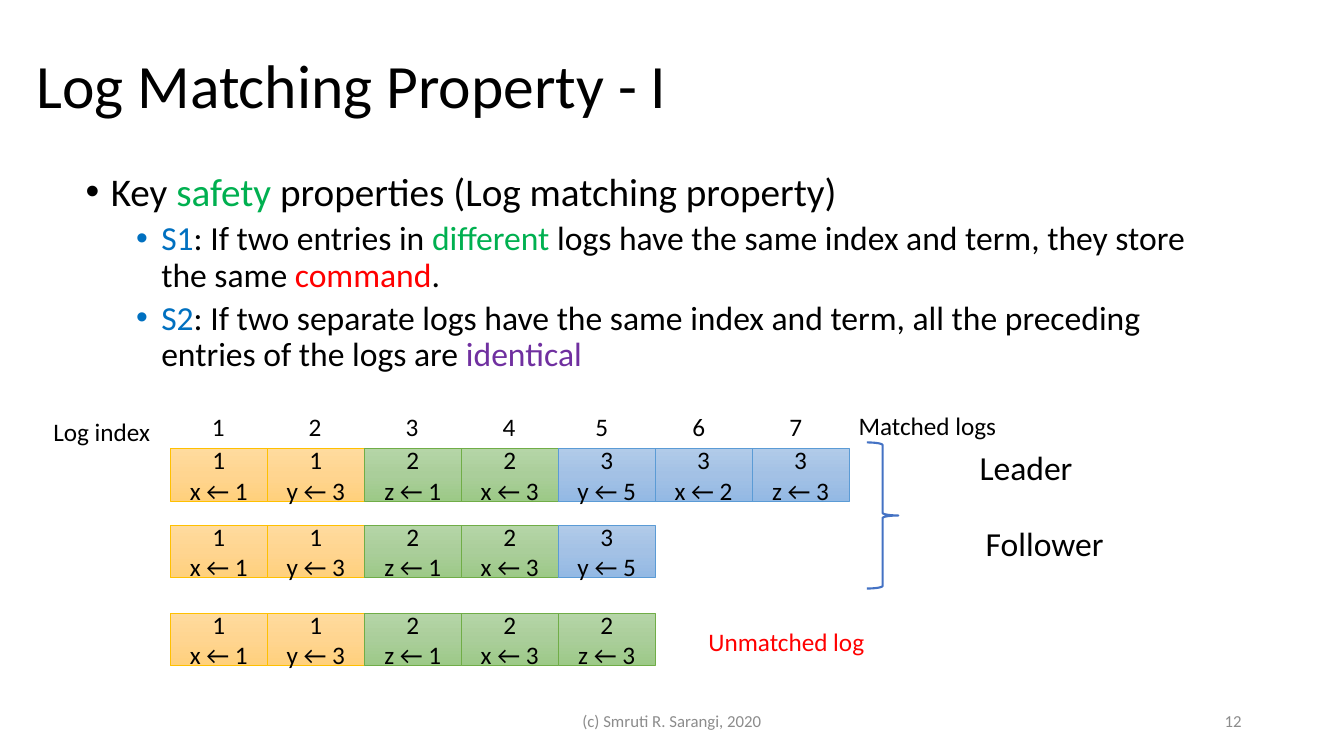
from copy import deepcopy

from lxml.etree import SubElement
from pptx import Presentation
from pptx.dml.color import RGBColor as RGB
from pptx.enum.shapes import MSO_SHAPE as Preset
from pptx.enum.text import MSO_ANCHOR as Anchor, MSO_AUTO_SIZE as AutoSize, PP_ALIGN as Align
from pptx.oxml.ns import qn
from pptx.util import Pt

# Content
TITLE = "Log Matching Property - I"
PROPERTIES = [  # level, [(words, colour)]
    (0, [("Key ", "ink"), ("safety", "green"), (" properties (Log matching property)", "ink")]),
    (1, [("S1", "blue"), (": If two entries in ", "ink"), ("different", "green"),
         (" logs have the same index and term, they store the same ", "ink"),
         ("command", "red"), (".", "ink")]),
    (1, [("S2", "blue"),
         (": If two separate logs have the same index and term, all the preceding "
          "entries of the logs are ", "ink"),
         ("identical", "purple")]),
]
SHARED_ENTRIES = [(1, "x ← 1"), (1, "y ← 3"), (2, "z ← 1"), (2, "x ← 3")]  # term, command
LOGS = [  # top, entries
    (320.4, SHARED_ENTRIES + [(3, "y ← 5"), (3, "x ← 2"), (3, "z ← 3")]),
    (375.1, SHARED_ENTRIES + [(3, "y ← 5")]),
    (438, SHARED_ENTRIES + [(2, "z ← 3")]),
]
LABELS = [  # words, left, top, width, height, size, colour
    ("Log index", 31, 293.8, 84, 29, "label", "ink"),
    ("Matched logs", 606.2, 289.4, 114, 29, "label", "ink"),
    ("Unmatched log", 499, 443.5, 127.5, 29, "label", "red"),
    ("Leader", 692.6, 316, 82, 36, "role", "ink"),
    ("Follower", 697, 370, 99.5, 36, "role", "ink"),
]
FOOTERS = [  # words, left, width, alignment
    ("(c) Smruti R. Sarangi, 2020", 318, 324, Align.CENTER),
    ("12", 678, 216, Align.RIGHT),
]

# Look
THEME = {
    "font": "Calibri",
    "size": {"title": 44, "point": 28, "subpoint": 24, "role": 24, "label": 18, "footer": 12},
    "color": {"ink": "000000", "green": "00B050", "blue": "0070C0", "red": "FF0000",
              "purple": "7030A0", "footer": "8C8C8C", "brace": "4472C4"},
    "term": {  # outline, gradient from top to bottom
        1: ("FFC000", ("FFDB9E", "FFD590", "FFD07C")),
        2: ("70AD47", ("B5D5A7", "AACE9A", "9CC987")),
        3: ("5B9BD5", ("B1CBE9", "A3C1E5", "93B9E4")),
    },
}
BULLETS = [  # size, left margin, space before
    ("point", 18, 10),
    ("subpoint", 54, 5),
]

# Geometry
LOG_LEFT, ENTRY_WIDTH, ENTRY_HEIGHT = 121.7, 69.25, 37.6
INDEX_TOP, INDEX_INSET, LATE_INDEX_SHIFT = 290, 22.5, -3


def apply(target, values):
    for name, value in values.items():
        setattr(target, name, value)


def box(left, top, width, height):
    return [Pt(value) for value in (left, top, width, height)]


def place(placeholder, bounds):
    apply(placeholder, dict(zip(("left", "top", "width", "height"), bounds)))


def write(paragraph, words, size, color, **layout):
    apply(paragraph, layout)
    run = paragraph.add_run()
    run.text = words
    apply(run.font, {"name": THEME["font"], "size": Pt(THEME["size"][size])})
    run.font.color.rgb = RGB.from_string(THEME["color"][color])


def add_label(slide, words, bounds, size, color, **layout):
    label = slide.shapes.add_textbox(*bounds)
    apply(label.text_frame, {"word_wrap": False, "auto_size": AutoSize.SHAPE_TO_FIT_TEXT})
    write(label.text_frame.paragraphs[0], words, size, color, **layout)


def add_entry(slide, bounds, term, command):
    entry = slide.shapes.add_shape(Preset.RECTANGLE, *bounds)
    entry.shadow.inherit = False
    outline, shades = THEME["term"][term]
    entry.line.color.rgb = RGB.from_string(outline)
    entry.line.width = Pt(0.5)
    entry.fill.gradient()
    entry.fill.gradient_angle = 270
    stop_list = next(entry.element.iter(qn("a:gsLst")))
    stop_list.append(deepcopy(stop_list[-1]))
    for stop, position, shade in zip(entry.fill.gradient_stops, (0, 0.5, 1), shades):
        stop.position = position
        stop.color.rgb = RGB.from_string(shade)
    frame = entry.text_frame
    apply(frame, {"vertical_anchor": Anchor.MIDDLE, "word_wrap": True})
    write(frame.paragraphs[0], str(term), "label", "ink", alignment=Align.CENTER)
    write(frame.add_paragraph(), command, "label", "ink", alignment=Align.CENTER)


def main():
    deck = Presentation()
    apply(deck, {"slide_width": Pt(960), "slide_height": Pt(540)})
    slide = deck.slides.add_slide(deck.slide_layouts[1])
    title, body = slide.placeholders

    # Title
    place(title, box(18.7, 10.8, 828, 104.4))
    apply(title.text_frame, {"vertical_anchor": Anchor.MIDDLE, "auto_size": AutoSize.NONE})
    write(title.text_frame.paragraphs[0], TITLE, "title", "ink",
          alignment=Align.LEFT, line_spacing=0.9)

    # Safety properties
    place(body, box(54, 119.5, 828, 156.2))
    body.text_frame.auto_size = AutoSize.NONE
    for order, (level, phrases) in enumerate(PROPERTIES):
        point = body.text_frame.add_paragraph() if order else body.text_frame.paragraphs[0]
        size, margin, gap = BULLETS[level]
        settings = point._p.get_or_add_pPr()
        settings.set("marL", str(Pt(margin)))
        settings.set("indent", str(Pt(-18)))
        SubElement(settings, qn("a:buFont"), typeface="Arial")
        SubElement(settings, qn("a:buChar"), char="•")
        apply(point, {"level": level, "line_spacing": 0.9,
                      "space_before": Pt(gap if order else 0)})
        for words, color in phrases:
            write(point, words, size, color)

    # Logs
    for top, entries in LOGS:
        for column, (term, command) in enumerate(entries):
            bounds = box(LOG_LEFT + column * ENTRY_WIDTH, top, ENTRY_WIDTH, ENTRY_HEIGHT)
            add_entry(slide, bounds, term, command)

    # Log indices, the later ones set slightly to the left
    for column in range(len(LOGS[0][1])):
        shift = LATE_INDEX_SHIFT if column >= len(SHARED_ENTRIES) else 0
        left = LOG_LEFT + INDEX_INSET + column * ENTRY_WIDTH + shift
        add_label(slide, str(column + 1), box(left, INDEX_TOP, 23.6, 29), "label", "ink")

    # Brace around the matched logs
    brace = slide.shapes.add_shape(Preset.RIGHT_BRACE, *box(619.2, 316, 22.5, 104.4))
    brace.shadow.inherit = False
    brace.fill.background()
    brace.line.color.rgb = RGB.from_string(THEME["color"]["brace"])
    brace.line.width = Pt(1.5)

    # Labels
    for words, left, top, width, height, size, color in LABELS:
        add_label(slide, words, box(left, top, width, height), size, color)

    # Footer
    for words, left, width, alignment in FOOTERS:
        footer = slide.shapes.add_textbox(*box(left, 500.5, width, 28.8))
        apply(footer.text_frame, {"word_wrap": True, "vertical_anchor": Anchor.MIDDLE})
        write(footer.text_frame.paragraphs[0], words, "footer", "footer", alignment=alignment)

    deck.save("out.pptx")


if __name__ == "__main__":
    main()
